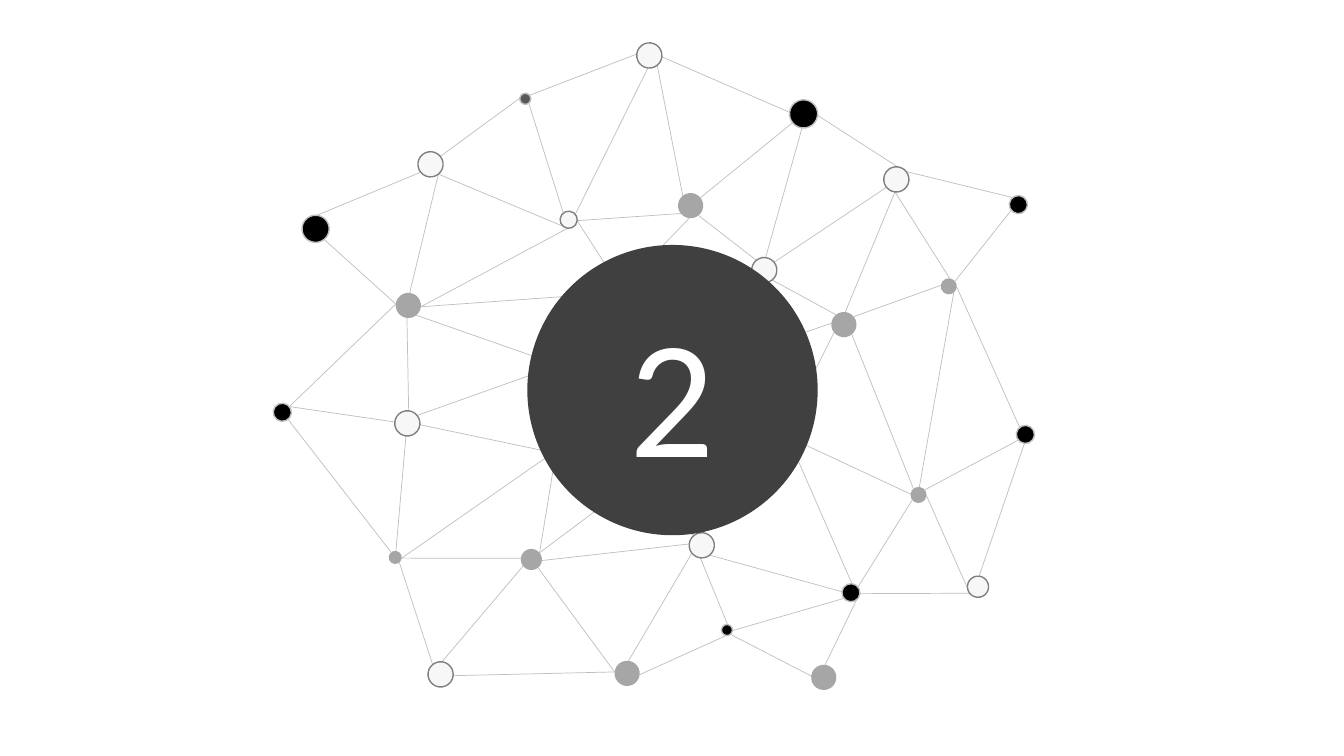
from math import cos, radians, sin

from lxml import etree
from pptx import Presentation, util as u
from pptx.dml.color import RGBColor
from pptx.enum import shapes, text
from pptx.oxml import ns

TILT = 6.2  # turn of every node, degrees
COMPASS = ["e", "se", "s", "sw", "w", "nw", "n", "ne"]  # rim sites, 45 degrees apart

# fill, outline
STYLES = {
    "black": ("000000", "BFBFBF"),
    "dark": ("595959", "BFBFBF"),
    "white": ("F7F7F7", "808080"),
    "grey": ("A6A6A6", None),
}

# name: centre x, centre y, diameter, style
NODES = {
    "A": (2.8, 4.09, 0.18, "black"), "B": (4.04, 4.2, 0.25, "white"),
    "C": (7.79, 4.37, 0.27, "black"), "D": (5.27, 5.55, 0.21, "grey"),
    "E": (6.96, 5.41, 0.25, "white"), "F": (6.22, 4.83, 0.18, "black"),
    "G": (3.92, 5.53, 0.13, "grey"), "H": (5.42, 3.61, 0.11, "black"),
    "I": (5.57, 4.5, 0.17, "white"), "J": (6.81, 3.65, 0.25, "grey"),
    "K": (6.44, 0.55, 0.25, "white"), "L": (9.11, 4.91, 0.16, "grey"),
    "M": (9.7, 5.82, 0.21, "white"), "N": (6.85, 2.04, 0.25, "grey"),
    "O": (10.17, 4.31, 0.18, "black"), "P": (3.13, 2.27, 0.27, "black"),
    "Q": (4.27, 1.63, 0.25, "white"), "R": (7.97, 1.13, 0.28, "black"),
    "S": (8.37, 3.22, 0.25, "grey"), "T": (7.58, 2.68, 0.25, "white"),
    "U": (6.16, 2.85, 0.18, "black"), "V": (8.89, 1.78, 0.25, "white"),
    "W": (5.21, 0.98, 0.11, "dark"), "X": (5.64, 2.18, 0.17, "white"),
    "Y": (4.05, 3.03, 0.25, "grey"), "Z": (4.37, 6.69, 0.25, "white"),
    "a": (9.41, 2.84, 0.16, "grey"), "b": (8.17, 6.72, 0.25, "grey"),
    "c": (10.1, 2.03, 0.18, "black"), "d": (6.22, 6.68, 0.25, "grey"),
    "e": (8.44, 5.88, 0.18, "black"), "f": (7.21, 6.25, 0.11, "black"),
}

# Each link joins two rim sites: node.compass-node.compass
LINKS = """
A.se-G.nw G.n-B.s B.ne-H.se D.ne-I.sw I.e-F.w C.sw-F.ne J.w-I.ne C.w-J.e
C.s-E.n L.nw-S.se G.e-D.w F.sw-D.ne H.ne-J.nw H.se-I.nw J.ne-T.sw a.se-L.n
O.s-M.n M.sw-L.e P.se-Y.w Q.ne-W.w S.nw-T.se X.e-U.nw K.s-X.ne R.w-K.e
R.s-T.n V.n-R.e P.n-Q.sw U.e-J.n K.w-W.ne W.se-X.nw V.ne-c.nw a.ne-c.sw
V.s-a.n O.sw-L.ne Z.e-d.w Z.n-D.sw Z.nw-G.se C.se-e.n C.e-L.w L.sw-e.ne
M.sw-e.e b.n-e.se F.se-E.nw D.e-E.w f.n-E.s f.e-e.sw E.se-e.w d.w-D.se
B.e-I.w A.ne-B.w Y.s-B.n Y.se-H.nw Q.se-Y.n Q.se-X.s A.ne-Y.w Y.e-X.s
Y.e-U.sw H.ne-U.s R.sw-N.ne K.se-N.nw X.e-N.sw U.e-T.w U.ne-N.s T.nw-N.se
V.sw-T.ne a.w-S.ne V.s-S.n S.sw-C.n J.e-S.w d.n-E.sw d.e-f.s f.se-b.w
I.w-G.e a.e-O.nw
"""


def color(hex_code):
    return RGBColor.from_string(hex_code)


def rim_point(site):
    """Position of a site such as 'A.se' on the rim of its node."""
    name, direction = site.split(".")
    x, y, d, _ = NODES[name]
    angle = radians(45 * COMPASS.index(direction) + TILT)
    return u.Inches(x + d / 2 * cos(angle)), u.Inches(y + d / 2 * sin(angle))


def add_link(s, start, end):
    link = s.shapes.add_connector(shapes.MSO_CONNECTOR.STRAIGHT,
                                  *rim_point(start), *rim_point(end))
    link.line.color.rgb = color("BFBFBF")
    link.line.width = u.Pt(0.5)
    etree.SubElement(link._element.spPr, ns.qn("a:effectLst"))


def add_circle(s, x, y, d, fill, outline=None):
    sp = s.shapes.add_shape(shapes.MSO_SHAPE.OVAL, u.Inches(x - d / 2),
                            u.Inches(y - d / 2), u.Inches(d), u.Inches(d))
    sp.shadow.inherit = False
    sp.fill.solid()
    sp.fill.fore_color.rgb = color(fill)
    if outline:
        sp.line.color.rgb = color(outline)
        sp.line.width = u.Pt(1)
    else:
        sp.line.fill.background()
    return sp


def add_hub(s, number):
    sp = add_circle(s, 6.67, 3.87, 2.88, "404040")
    tf = sp.text_frame
    tf.vertical_anchor = text.MSO_ANCHOR.MIDDLE
    p = tf.paragraphs[0]
    p.text = number
    p.alignment = text.PP_ALIGN.CENTER
    p.font.name = "Calibri"
    p.font.size = u.Pt(120)
    p.font.color.rgb = color("FFFFFF")


def main():
    prs = Presentation()
    prs.slide_width, prs.slide_height = u.Inches(13.33), u.Inches(7.5)
    s = prs.slides.add_slide(prs.slide_layouts[6])

    # Network
    for link in LINKS.split():
        add_link(s, *link.split("-"))
    for x, y, d, style in NODES.values():
        add_circle(s, x, y, d, *STYLES[style]).rotation = 180 + TILT

    # Section number
    add_hub(s, "2")
    prs.save("out.pptx")


if __name__ == "__main__":
    main()
